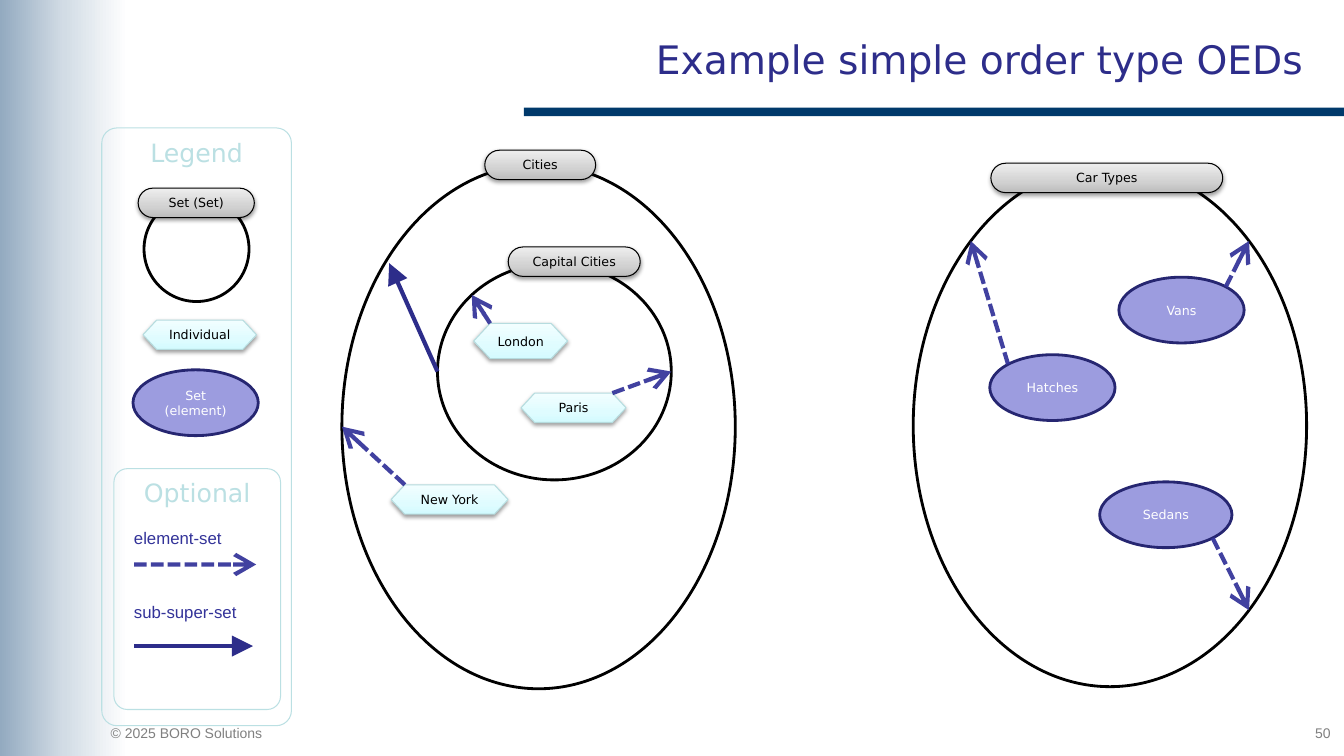
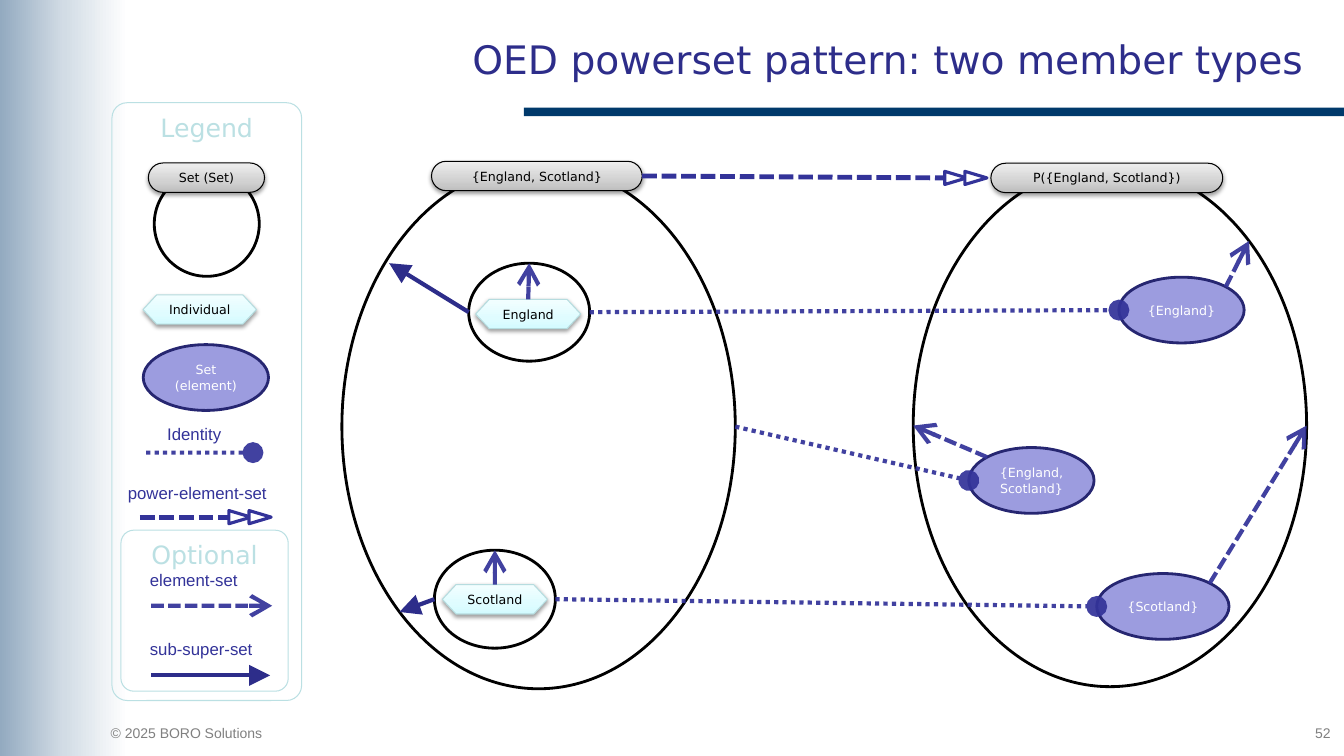
import math

import pptx
import pptx.dml.color
import pptx.enum.dml
import pptx.enum.shapes
import pptx.enum.text
import pptx.oxml
import pptx.oxml.ns
import pptx.oxml.xmlchemy
import pptx.util

Pt = pptx.util.Pt
SHAPE = pptx.enum.shapes.MSO_SHAPE
DASH = pptx.enum.dml.MSO_LINE
ALIGN = pptx.enum.text.PP_ALIGN
ANCHOR = pptx.enum.text.MSO_ANCHOR
qn = pptx.oxml.ns.qn
new_element = pptx.oxml.xmlchemy.OxmlElement

COLORS = {
    "title": "2D2D8A", "rule": "00396B", "footer": "808080", "link": "333399",
    "black": "000000", "white": "FFFFFF", "frame": "BBE0E3",
    "element": "9C9CDF", "element line": "262671", "individual line": "B6DCDF",
}
GRADIENTS = {  # stops in percent, then the angle in degrees
    "band": ([(0, "93AAC0"), (50, "D2DCE5"), (100, "FFFFFF")], 0),
    "pill": ([(0, "BDBDBD"), (35, "D1D1D1"), (100, "EEEEEE")], 270),
    "individual": ([(0, "D3FBFF"), (35, "DFFCFF"), (100, "F2FEFF")], 270),
}
HEADING_FONT, LABEL_FONT = "DejaVu Sans", "Arial"
PILL_HEIGHT = 21
HEXAGON_INSET = 0.465

# kind: preset, fill, line colour, line width, text colour
NODE_STYLES = {
    "set": (SHAPE.OVAL, "white", "black", 2, None),
    "pill": (SHAPE.ROUNDED_RECTANGLE, "pill", "black", 0.75, "black"),
    "individual": (SHAPE.HEXAGON, "individual", "individual line", 0.75, "black"),
    "element": (SHAPE.OVAL, "element", "element line", 2, "white"),
}
# kind: colour, width, dash, arrowhead, opacity in percent
LINK_STYLES = {
    "element-set": ("link", 3, DASH.SQUARE_DOT, "arrow", 93),
    "sub-super-set": ("title", 3, None, "triangle", 100),
    "identity": ("link", 3, DASH.ROUND_DOT, "oval", 93),
    "power": ("link", 3.5, DASH.SQUARE_DOT, None, 100),
}

LEFT_SET = (244.2, 117.5, 281, 374.5)
RIGHT_SET = (652.3, 117.5, 281, 373)
RIGHT_PILL = (707.8, 116.6, 165.6, PILL_HEIGHT)
TOP_RIGHT_ELEMENT = (799.2, 198, 89.5, 47)
SUPER_POINT = (278, 188)  # where a subset arrow meets the left set

# nodes: name, kind, box, text; links: kind, start, end, each (node, side) or a point
# keys: text, label box left, top and width, kind, line start, line end, line height
SLIDES = [
    {
        "title": "Example simple order type OEDs",
        "number": "50",
        "nodes": [
            ("cities", "set", LEFT_SET, ""),
            ("cities pill", "pill", (346.3, 107.3, 79.2, PILL_HEIGHT), "Cities"),
            ("cars", "set", RIGHT_SET, ""),
            ("cars pill", "pill", RIGHT_PILL, "Car Types"),
            ("capitals", "set", (312.5, 188, 167, 154.8), ""),
            ("capitals pill", "pill", (363, 176.4, 94.3, PILL_HEIGHT), "Capital Cities"),
            ("vans", "element", TOP_RIGHT_ELEMENT, "Vans"),
            ("hatches", "element", (707, 253.4, 89.5, 47), "Hatches"),
            ("sedans", "element", (785.5, 344.2, 94.5, 47), "Sedans"),
            ("paris", "individual", (372.2, 280.8, 75, 21), "Paris"),
            ("london", "individual", (338.4, 231, 67, 25.2), "London"),
            ("new york", "individual", (279.4, 346.3, 83.5, 21), "New York"),
        ],
        "links": [
            ("sub-super-set", ("capitals", "w"), SUPER_POINT),
            ("element-set", ("london", "nw"), ("capitals", "nw")),
            ("element-set", ("paris", "ne"), ("capitals", "e")),
            ("element-set", ("new york", "nw"), ("cities", "w")),
            ("element-set", ("hatches", "nw"), ("cars", "nw")),
            ("element-set", ("vans", "ne"), ("cars", "ne")),
            ("element-set", ("sedans", "se"), ("cars", "se")),
        ],
        "legend": (72.7, 91.4),
        "optional": (81.4, 334.8, 119, 172),
        "keys": [
            ("element-set", 88.6, 373.7, 78, "element-set", 95.8, 183, 403.2),
            ("sub-super-set", 88.6, 426.2, 88.6, "sub-super-set", 95.8, 180.7, 461.5),
        ],
    },
    {
        "title": "OED powerset pattern: two member types",
        "number": "52",
        "nodes": [
            ("countries", "set", LEFT_SET, ""),
            ("countries pill", "pill", (308.2, 115.2, 150.5, PILL_HEIGHT),
             "{England, Scotland}"),
            ("powerset", "set", RIGHT_SET, ""),
            ("powerset pill", "pill", RIGHT_PILL, "P({England, Scotland})"),
            ("england set", "set", (334.8, 188, 86.4, 70), ""),
            ("scotland set", "set", (310.3, 393, 86.4, 70), ""),
            ("england", "individual", (339.8, 213.8, 75, 21), "England"),
            ("scotland", "individual", (316, 417.6, 75, 21), "Scotland"),
            ("{england}", "element", TOP_RIGHT_ELEMENT, "{England}"),
            ("{both}", "element", (692, 319.7, 89.5, 47), "{England, Scotland}"),
            ("{scotland}", "element", (783.4, 409.7, 94.5, 47), "{Scotland}"),
        ],
        "links": [
            ("power", ("countries pill", "e"), ("powerset pill", "w")),
            ("identity", ("england set", "e"), ("{england}", "w")),
            ("identity", ("countries", "e"), ("{both}", "w")),
            ("identity", ("scotland set", "e"), ("{scotland}", "w")),
            ("sub-super-set", ("england set", "w"), SUPER_POINT),
            ("sub-super-set", ("scotland set", "w"), ("countries", "sw")),
            ("element-set", ("england", "n"), ("england set", "n")),
            ("element-set", ("scotland", "n"), ("scotland set", "n")),
            ("element-set", ("{england}", "ne"), ("powerset", "ne")),
            ("element-set", ("{scotland}", "ne"), ("powerset", "e")),
            ("element-set", ("{both}", "nw"), ("powerset", "w")),
        ],
        "legend": (80, 73.4),
        "optional": (86.4, 378.7, 119.5, 115),
        "keys": [
            ("Identity", 112.3, 298.8, 62, "identity", 104.4, 180.7, 323.3),
            ("power-element-set", 84.2, 341.3, 114.5, "power", 100, 196.5, 369.4),
            ("element-set", 100, 403.2, 78, "element-set", 108, 194.4, 432.7),
            ("sub-super-set", 100, 452.9, 88.6, "sub-super-set", 108, 193, 482.4),
        ],
    },
]


def rgb(name):
    return pptx.dml.color.RGBColor.from_string(COLORS[name])


def write(shape, text, size, font, color, align, anchor, wrap=True, margin=7.2):
    frame = shape.text_frame
    frame.word_wrap = wrap
    frame.vertical_anchor = anchor
    frame.margin_left = frame.margin_right = Pt(margin)
    paragraph = frame.paragraphs[0]
    paragraph.alignment = align
    run = paragraph.add_run()
    run.text = text
    run.font.size = Pt(size)
    run.font.name = font
    run.font.color.rgb = rgb(color)


def add_text(slide, box, *args, **options):
    write(slide.shapes.add_textbox(*map(Pt, box)), *args, **options)


def fill_gradient(shape, name):
    stops, angle = GRADIENTS[name]
    shape.fill.gradient()
    old = shape.element.spPr.find(qn("a:gradFill"))
    stop_xml = "".join(
        f'<a:gs pos="{position * 1000}"><a:srgbClr val="{color}"/></a:gs>'
        for position, color in stops)
    new = pptx.oxml.parse_xml(
        f'<a:gradFill {pptx.oxml.ns.nsdecls("a")} rotWithShape="1"><a:gsLst>{stop_xml}'
        f'</a:gsLst><a:lin ang="{angle * 60000}" scaled="0"/></a:gradFill>')
    old.getparent().replace(old, new)


def add_shape(slide, preset, box, fill=None, line=None, width=0.75):
    shape = slide.shapes.add_shape(preset, *map(Pt, box))
    if fill in GRADIENTS:
        fill_gradient(shape, fill)
    elif fill:
        shape.fill.solid()
        shape.fill.fore_color.rgb = rgb(fill)
    else:
        shape.fill.background()
    if line:
        shape.line.color.rgb = rgb(line)
        shape.line.width = Pt(width)
    else:
        shape.line.fill.background()
    shape.shadow.inherit = False
    return shape


def add_soft_shadow(shape):
    shape.element.spPr.find(qn("a:effectLst")).append(pptx.oxml.parse_xml(
        f'<a:outerShdw {pptx.oxml.ns.nsdecls("a")} blurRad="{Pt(3.1)}" dist="{Pt(1.6)}" '
        'dir="5400000" rotWithShape="0"><a:srgbClr val="000000">'
        '<a:alpha val="38000"/></a:srgbClr></a:outerShdw>'))


def add_node(slide, kind, box, text):
    preset, fill, line, width, text_color = NODE_STYLES[kind]
    shape = add_shape(slide, preset, box, fill, line, width)
    if kind == "pill":
        shape.adjustments[0] = 0.5
    elif kind == "individual":
        shape.adjustments[0] = HEXAGON_INSET
    if kind in ("pill", "individual"):
        add_soft_shadow(shape)
    if text:
        write(shape, text, 9, HEADING_FONT, text_color, ALIGN.CENTER, ANCHOR.MIDDLE,
              wrap=kind == "element", margin=4)


def side_point(kind, box, side):
    """Point of a node's outline at a compass side."""
    left, top, width, height = box
    across = ("e" in side) - ("w" in side)
    down = ("s" in side) - ("n" in side)
    reach_x, reach_y = width / 2, height / 2
    if across and down:
        if kind == "individual":
            reach_x -= HEXAGON_INSET * height
        else:
            reach_x *= math.sqrt(0.5)
            reach_y *= math.sqrt(0.5)
    return left + width / 2 + across * reach_x, top + height / 2 + down * reach_y


def add_link(slide, kind, start, end):
    color, width, dash, head, opacity = LINK_STYLES[kind]
    if kind == "power":
        end = add_double_head(slide, end)
    connector = slide.shapes.add_connector(
        pptx.enum.shapes.MSO_CONNECTOR.STRAIGHT, *map(Pt, (*start, *end)))
    connector.line.color.rgb = rgb(color)
    connector.line.width = Pt(width)
    if dash:
        connector.line.dash_style = dash
    properties = connector.element.spPr
    line = properties.find(qn("a:ln"))
    if opacity < 100:
        alpha = new_element("a:alpha")
        alpha.set("val", str(opacity * 1000))
        next(line.iter(qn("a:srgbClr"))).append(alpha)
    if head:
        tail = new_element("a:tailEnd")
        for key, value in (("type", head), ("w", "lg"), ("len", "lg")):
            tail.set(key, value)
        line.append(tail)
    properties.append(new_element("a:effectLst"))


def add_double_head(slide, tip):
    """Two hollow arrowheads just before the tip; returns where the line stops."""
    width, height, step, gap = 15.8, 9.4, 14.4, 2.8
    first = tip[0] - gap - width - step
    for left in (first, first + step):
        head = add_shape(slide, SHAPE.RIGHT_ARROW,
                         (left, tip[1] - height / 2, width, height), "white", "link", 2.25)
        head.adjustments[0], head.adjustments[1] = 0.22, 1.77
    return first, tip[1]


def add_frame(slide, box, heading):
    frame = add_shape(slide, SHAPE.ROUNDED_RECTANGLE, box, line="frame")
    frame.adjustments[0] = 0.08
    write(frame, heading, 18, HEADING_FONT, "frame", ALIGN.CENTER, ANCHOR.TOP)


def add_legend(slide, content):
    left, top = content["legend"]
    add_frame(slide, (left, top, 135.5, 427), "Legend")
    add_node(slide, "set", (left + 30.2, top + 49, 75, 75), "")
    add_node(slide, "pill", (left + 26, top + 43, 83, PILL_HEIGHT), "Set (Set)")
    add_node(slide, "individual", (102.2, top + 137.2, 81, 21), "Individual")
    add_node(slide, "element", (left + 22.3, top + 172.8, 89.5, 47), "Set (element)")
    add_frame(slide, content["optional"], "Optional")
    for text, label_left, label_top, width, kind, start, end, height in content["keys"]:
        add_text(slide, (label_left, label_top, width, 21.6), text, 12, LABEL_FONT,
                 "link", ALIGN.LEFT, ANCHOR.TOP, wrap=False)
        add_link(slide, kind, (start, height), (end, height))


def add_chrome(slide, content):
    """Side band, rule, title and footer."""
    add_shape(slide, SHAPE.RECTANGLE, (0, 0, 91.5, 540), "band")
    add_shape(slide, SHAPE.RECTANGLE, (374.2, 77, 585.8, 6), "rule")
    add_text(slide, (88.5, 11, 849, 62.5), content["title"], 28, HEADING_FONT,
             "title", ALIGN.RIGHT, ANCHOR.MIDDLE)
    add_text(slide, (72, 514, 181.5, 19.5), "© 2025 BORO Solutions", 10, LABEL_FONT,
             "footer", ALIGN.LEFT, ANCHOR.TOP)
    add_text(slide, (865.5, 514, 92, 22), content["number"], 10, LABEL_FONT,
             "footer", ALIGN.RIGHT, ANCHOR.TOP)


def add_diagram(slide, content):
    outlines = {}
    for name, kind, box, text in content["nodes"]:
        add_node(slide, kind, box, text)
        outlines[name] = (kind, box)
    for kind, *ends in content["links"]:
        points = [side_point(*outlines[end[0]], end[1]) if end[0] in outlines else end
                  for end in ends]
        add_link(slide, kind, *points)


def main():
    presentation = pptx.Presentation()
    presentation.slide_width, presentation.slide_height = Pt(960), Pt(540)
    for content in SLIDES:
        slide = presentation.slides.add_slide(presentation.slide_layouts[6])
        add_chrome(slide, content)
        add_diagram(slide, content)
        add_legend(slide, content)
    presentation.save("out.pptx")


if __name__ == "__main__":
    main()
